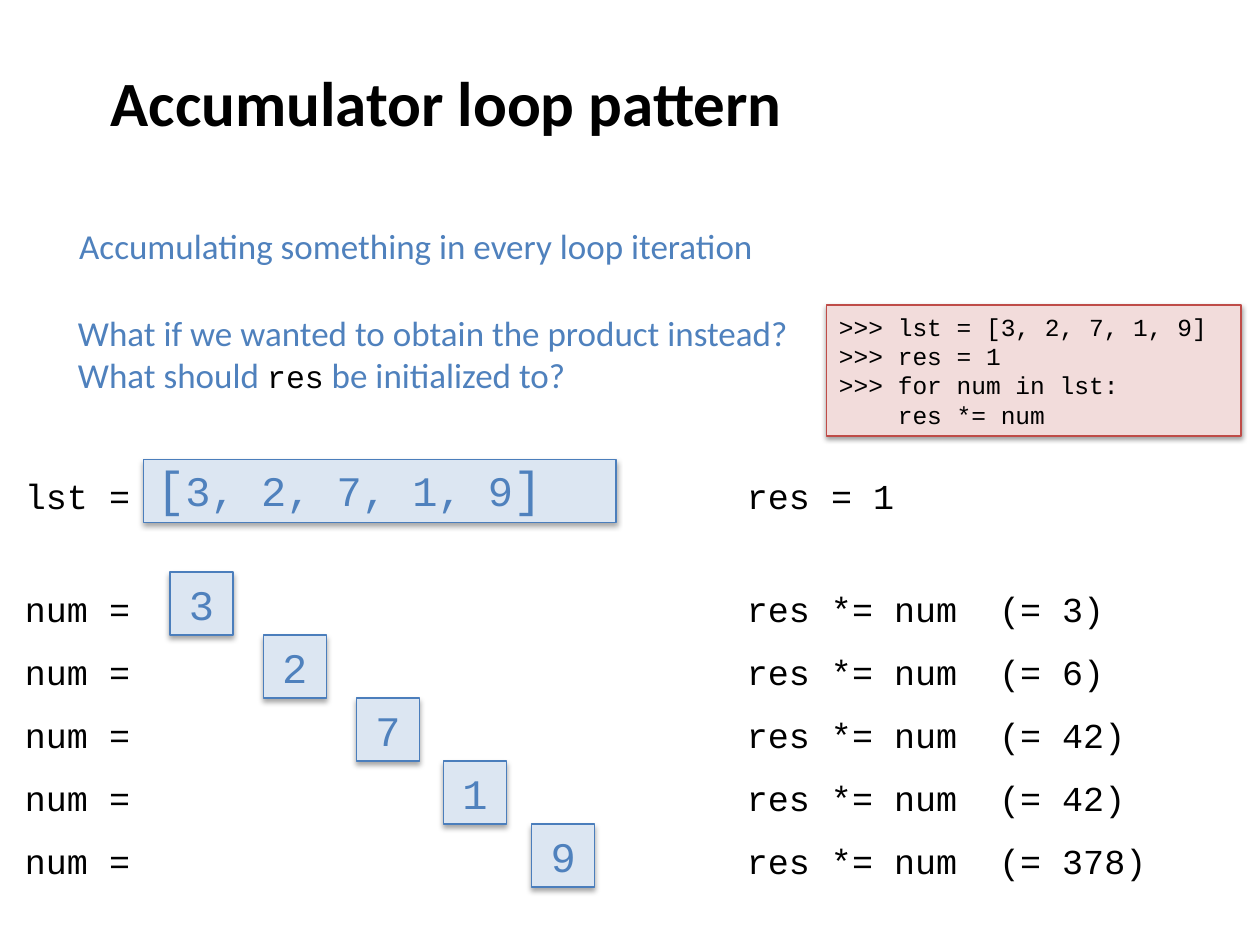
from lxml import etree
from pptx import Presentation
from pptx.dml.color import RGBColor
from pptx.enum.shapes import MSO_SHAPE as Shape
from pptx.enum.text import MSO_ANCHOR as Anchor, PP_ALIGN as Align
from pptx.oxml.ns import qn
from pptx.util import Inches, Pt

BLACK = RGBColor(0x00, 0x00, 0x00)
BLUE = RGBColor(0x4F, 0x81, 0xBD)
BLUE_FILL = RGBColor(0xDC, 0xE6, 0xF2)
BLUE_LINE = RGBColor(0x4B, 0x7E, 0xBC)
RED_FILL = RGBColor(0xF2, 0xDC, 0xDB)
RED_LINE = RGBColor(0xBF, 0x4C, 0x48)
SANS, MONO = "Calibri", "Courier New"

# Content
TITLE = "Accumulator loop pattern"
INTRO = "Accumulating something in every loop iteration"
QUESTION = [
    "What if we wanted to obtain the product instead? What should ",
    ("res", {"size": 18, "font": MONO, "color": BLACK}),
    " be initialized to?",
]
CODE = [
    ">>> lst = [3, 2, 7, 1, 9]",
    ">>> res = 1",
    ">>> for num in lst:",
    "    res *= num",
]
LIST_RUNS = [("[", {"size": 28}), "3, 2, 7, 1, 9", ("]", {"size": 28})]
# Value of num, left edge of its box, value of res after the step
STEPS = [("3", 1.35, 3), ("2", 2.09, 6), ("7", 2.83, 42), ("1", 3.52, 42), ("9", 4.22, 378)]

# Layout
LABEL_X, LABEL_W = 0.1, 1.04
RES_X, RES_W = 5.83, 4.1
TEXT_H, BOX = 0.44, 0.5
LIST_Y, STEPS_Y = 3.65, 4.54


def write(sp, paragraphs, size=20, font=MONO, color=BLACK, bold=False,
          align=Align.LEFT, anchor=Anchor.MIDDLE, wrap=True):
    """Each paragraph is a list of runs: text, or (text, changed format)."""
    tf = sp.text_frame
    tf.word_wrap = wrap
    tf.vertical_anchor = anchor
    for i, runs in enumerate(paragraphs):
        p = tf.paragraphs[0] if i == 0 else tf.add_paragraph()
        p.alignment = align
        for run in runs:
            text, changes = (run, {}) if isinstance(run, str) else run
            fmt = {"size": size, "font": font, "color": color, **changes}
            r = p.add_run()
            r.text = text
            r.font.size = Pt(fmt["size"])
            r.font.name = fmt["font"]
            r.font.bold = bold
            r.font.color.rgb = fmt["color"]


def add_text(slide, x, y, w, h, runs, **fmt):
    sp = slide.shapes.add_textbox(Inches(x), Inches(y), Inches(w), Inches(h))
    write(sp, [runs], **fmt)


def add_box(slide, x, y, w, h, paragraphs, fill=BLUE_FILL, line=BLUE_LINE,
            shadow=(1.8, 35), **fmt):
    sp = slide.shapes.add_shape(Shape.RECTANGLE, Inches(x), Inches(y), Inches(w), Inches(h))
    sp.fill.solid()
    sp.fill.fore_color.rgb = fill
    sp.line.color.rgb = line
    sp.line.width = Pt(0.75)
    # Soft shadow straight below the box
    sp.shadow.inherit = False
    distance, alpha = shadow
    effects = sp.element.spPr.find(qn("a:effectLst"))
    outer = etree.SubElement(effects, qn("a:outerShdw"), blurRad=str(Pt(3.1)),
                             dist=str(Pt(distance)), dir="5400000", rotWithShape="0")
    tint = etree.SubElement(outer, qn("a:srgbClr"), val="000000")
    etree.SubElement(tint, qn("a:alpha"), val=str(alpha * 1000))
    write(sp, paragraphs, **fmt)


def main():
    prs = Presentation()
    prs.slide_width, prs.slide_height = Inches(10), Inches(7.5)
    slide = prs.slides.add_slide(prs.slide_layouts[6])

    # Heading and questions
    add_text(slide, 0.78, 0, 8.5, 1.61, [TITLE], size=36, font=SANS, bold=True)
    add_text(slide, 0.53, 1.73, 5.62, TEXT_H, [INTRO], font=SANS, color=BLUE)
    add_text(slide, 0.52, 2.42, 6.03, 0.77, QUESTION, font=SANS, color=BLUE)

    # Code
    add_box(slide, 6.56, 2.42, 3.29, 1.04, [[line] for line in CODE],
            fill=RED_FILL, line=RED_LINE, shadow=(1.6, 38), size=14)

    # Starting state
    add_text(slide, LABEL_X, LIST_Y + 0.06, LABEL_W, TEXT_H, ["lst ="], wrap=False)
    add_box(slide, 1.14, LIST_Y, 3.75, BOX, [LIST_RUNS], size=24, color=BLUE,
            align=Align.JUSTIFY, anchor=Anchor.BOTTOM)
    add_text(slide, RES_X, LIST_Y + 0.06, 2.22, TEXT_H, ["res = 1"])

    # One row for each loop iteration
    for i, (num, x, res) in enumerate(STEPS):
        y = STEPS_Y + i * BOX
        add_text(slide, LABEL_X, y + 0.07, LABEL_W, TEXT_H, ["num ="], wrap=False)
        add_box(slide, x, y, BOX, BOX, [[num]], size=24, color=BLUE, align=Align.CENTER)
        add_text(slide, RES_X, y + 0.07, RES_W, TEXT_H, [f"res *= num  (= {res})"])

    prs.save("out.pptx")


if __name__ == "__main__":
    main()
